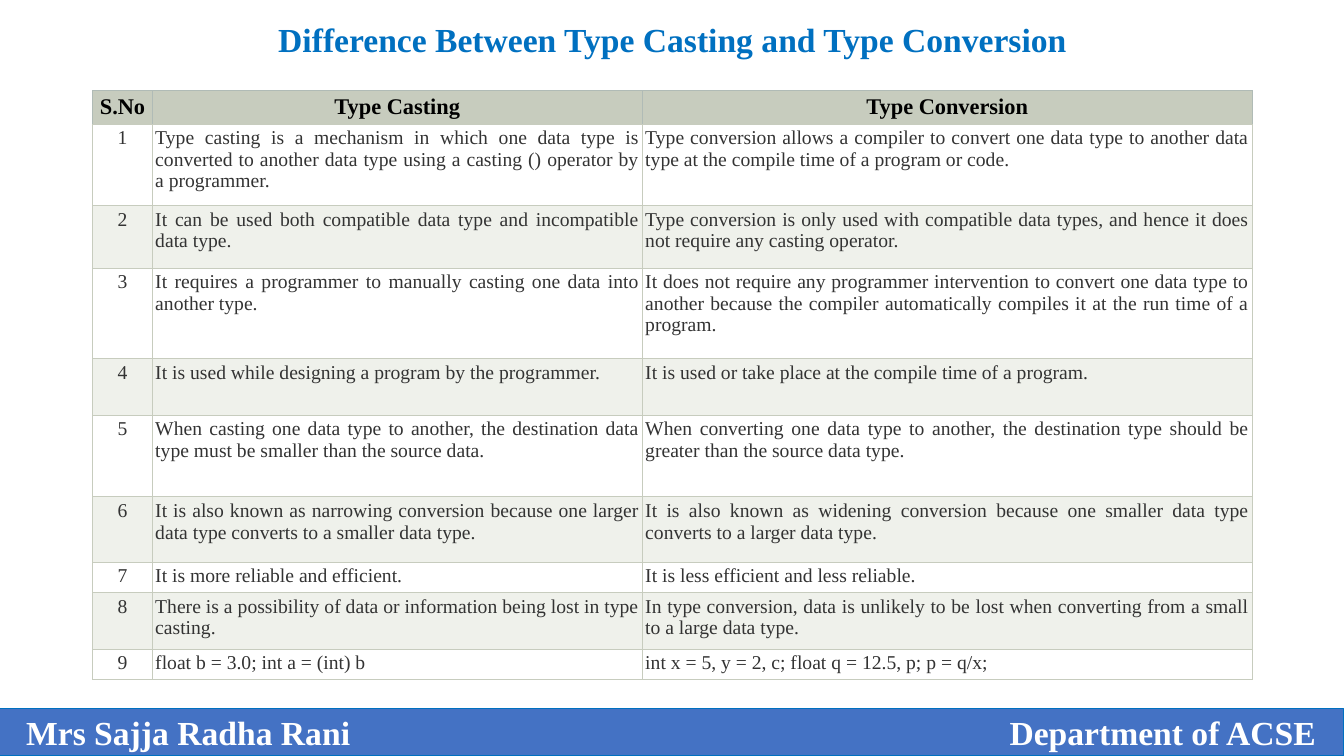
from lxml import etree
from pptx import Presentation
from pptx.dml.color import RGBColor
from pptx.enum.shapes import MSO_SHAPE as Shape
from pptx.enum.text import MSO_ANCHOR as Anchor, MSO_AUTO_SIZE as AutoSize, PP_ALIGN as Align
from pptx.oxml import parse_xml
from pptx.oxml.ns import nsdecls, qn
from pptx.util import Inches, Pt

HEADER = ["S.No", "Type Casting", "Type Conversion"]
DIFFERENCES = [
    ("Type casting is a mechanism in which one data type is converted to another data type using a casting () operator by a programmer.",
     "Type conversion allows a compiler to convert one data type to another data type at the compile time of a program or code."),
    ("It can be used both compatible data type and incompatible data type.",
     "Type conversion is only used with compatible data types, and hence it does not require any casting operator."),
    ("It requires a programmer to manually casting one data into another type.",
     "It does not require any programmer intervention to convert one data type to another because the compiler automatically compiles it at the run time of a program."),
    ("It is used while designing a program by the programmer.",
     "It is used or take place at the compile time of a program."),
    ("When casting one data type to another, the destination data type must be smaller than the source data.",
     "When converting one data type to another, the destination type should be greater than the source data type."),
    ("It is also known as narrowing conversion because one larger data type converts to a smaller data type.",
     "It is also known as widening conversion because one smaller data type converts to a larger data type."),
    ("It is more reliable and efficient.",
     "It is less efficient and less reliable."),
    ("There is a possibility of data or information being lost in type casting.",
     "In type conversion, data is unlikely to be lost when converting from a small to a large data type."),
    ("float b = 3.0; int a = (int) b",
     "int x = 5, y = 2, c; float q = 12.5, p; p = q/x;"),
]
COL_WIDTHS = [0.59, 4.86, 6.05]
ROW_HEIGHTS = [0.33, 0.81, 0.62, 0.9, 0.56, 0.81, 0.65, 0.3, 0.56, 0.3]


def rgb(color):
    return RGBColor.from_string(color)


def write(tf, text, size=14, color="333333", bold=False, align=Align.LEFT, spacing=None):
    p = tf.paragraphs[0]
    p.alignment = align
    p.space_before = Pt(0)
    if spacing:
        p.line_spacing = spacing
    r = p.add_run()
    r.text = text
    r.font.name = SlideBuilder.font
    r.font.size = Pt(size)
    r.font.bold = bold
    r.font.color.rgb = rgb(color)
    return p


class SlideBuilder:
    font = "Times New Roman"
    blue, bar_fill = "0070C0", "4472C4"
    header_fill, header_line = "C7CCBE", "B0BBB6"
    bands = ["EFF1EB", "FFFFFF"]

    def __init__(self, prs):
        self.slide = prs.slides.add_slide(prs.slide_layouts[5])

    def title(self, text, x, y, w, h):
        sp = self.slide.shapes.title
        sp.left, sp.top, sp.width, sp.height = map(Inches, (x, y, w, h))
        tf = sp.text_frame
        tf.word_wrap = True
        tf.auto_size = AutoSize.NONE
        tf.vertical_anchor = Anchor.TOP
        write(tf, text, size=24, color=self.blue, bold=True, align=Align.CENTER, spacing=0.9)

    def footer(self, left_text, right_text, x, y, w, h):
        sp = self.slide.shapes.add_shape(Shape.RECTANGLE, *map(Inches, (x, y, w, h)))
        sp.shadow.inherit = False
        sp.fill.solid()
        sp.fill.fore_color.rgb = rgb(self.bar_fill)
        sp.line.color.rgb = rgb(self.blue)
        sp.line.width = Pt(0.75)
        tf = sp.text_frame
        tf.word_wrap = True
        tf.margin_left = Inches(0.26)
        tf.vertical_anchor = Anchor.MIDDLE
        p = write(tf, f"{left_text}\t{right_text}", size=24, color="FFFFFF", bold=True)
        tabs = etree.SubElement(p._p.get_or_add_pPr(), qn("a:tabLst"))
        etree.SubElement(tabs, qn("a:tab"), pos=str(Inches(12.79)), algn="r")

    def borders(self, cell, side_color, bottom_color):
        tc_pr = cell._tc.get_or_add_tcPr()
        for i, side in enumerate("LRTB"):
            color = bottom_color if side == "B" else side_color
            tc_pr.insert(i, parse_xml(
                f'<a:ln{side} {nsdecls("a")} w="{Pt(0.75)}"><a:solidFill>'
                f'<a:srgbClr val="{color}"/></a:solidFill></a:ln{side}>'))

    def cell(self, cell, text, fill, line, margin, **fmt):
        cell.fill.solid()
        cell.fill.fore_color.rgb = rgb(fill)
        cell.margin_left = cell.margin_right = Inches(margin)
        cell.margin_top = cell.margin_bottom = Inches(margin)
        self.borders(cell, line, self.header_fill)
        write(cell.text_frame, text, **fmt)

    def table(self, rows, x, y, w, h):
        table = self.slide.shapes.add_table(
            len(rows), len(COL_WIDTHS), *map(Inches, (x, y, w, h))).table
        for column, width in zip(table.columns, COL_WIDTHS):
            column.width = Inches(width)
        for row, height in zip(table.rows, ROW_HEIGHTS):
            row.height = Inches(height)
        for i, texts in enumerate(rows):
            for j, text in enumerate(texts):
                if i == 0:
                    self.cell(table.cell(i, j), text, self.header_fill, self.header_line, 0.04,
                              size=16, color="000000", bold=True, align=Align.CENTER)
                else:
                    self.cell(table.cell(i, j), text, self.bands[i % 2], self.header_fill, 0.03,
                              align=Align.JUSTIFY if j else Align.CENTER)


def main():
    prs = Presentation()
    prs.slide_width, prs.slide_height = Inches(13.33), Inches(7.5)
    s = SlideBuilder(prs)
    s.footer("Mrs Sajja Radha Rani", "Department of ACSE", 0, 7.03, 13.33, 0.47)
    s.title("Difference Between Type Casting and Type Conversion", 0.92, 0.18, 11.5, 6.57)
    numbered = [(str(n), *pair) for n, pair in enumerate(DIFFERENCES, 1)]
    s.table([HEADER] + numbered, 0.92, 0.9, 11.5, sum(ROW_HEIGHTS))
    prs.save("out.pptx")


if __name__ == "__main__":
    main()
